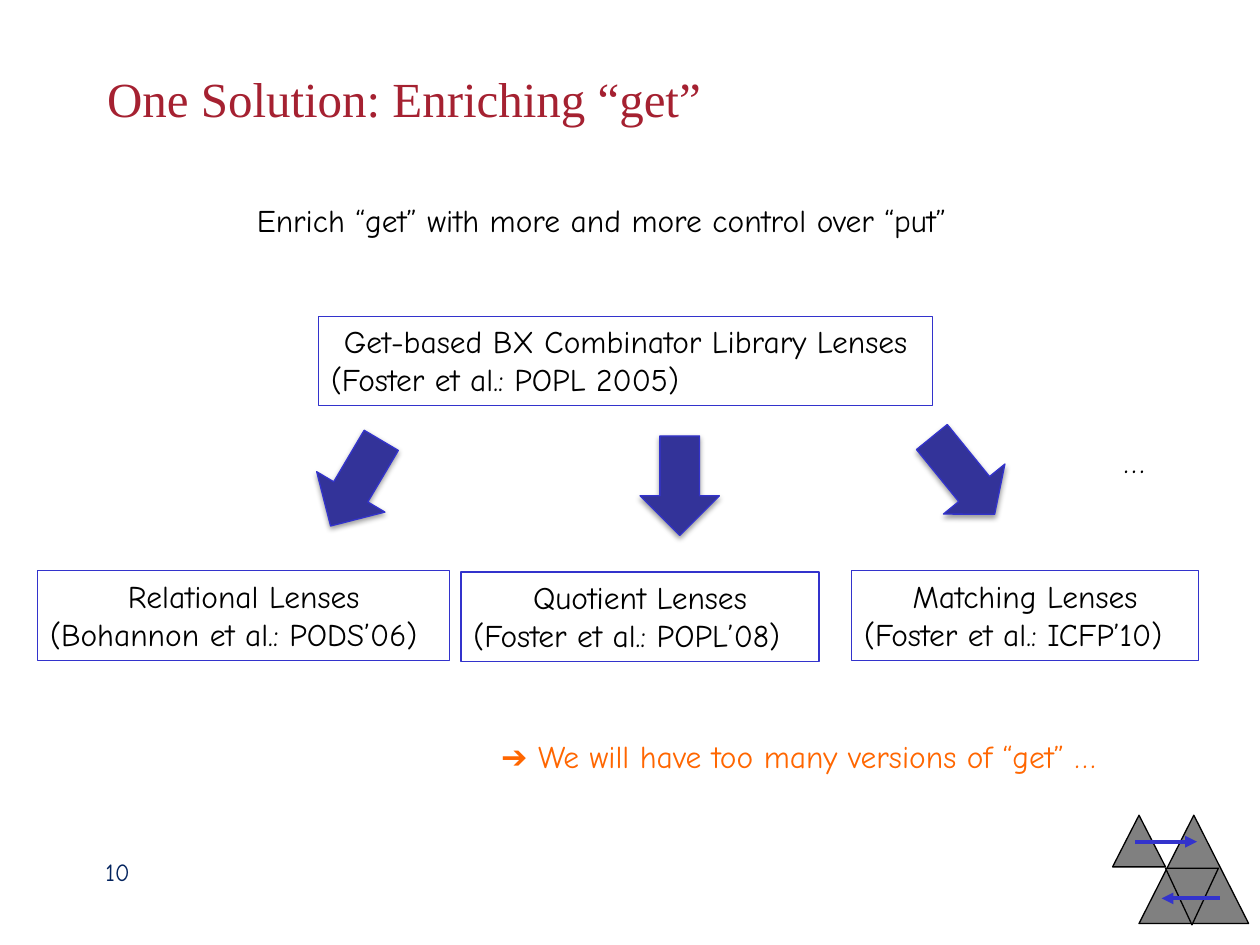
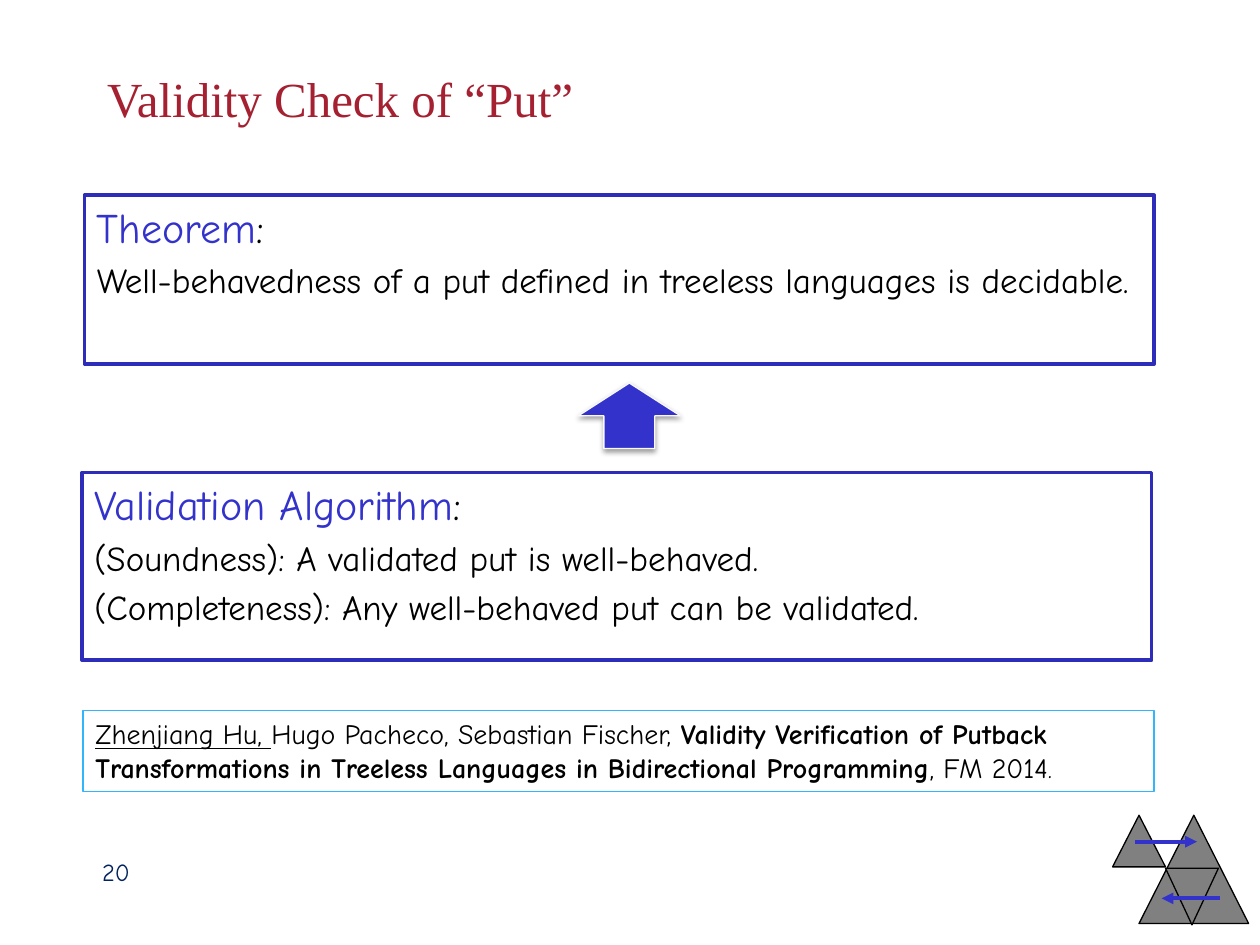
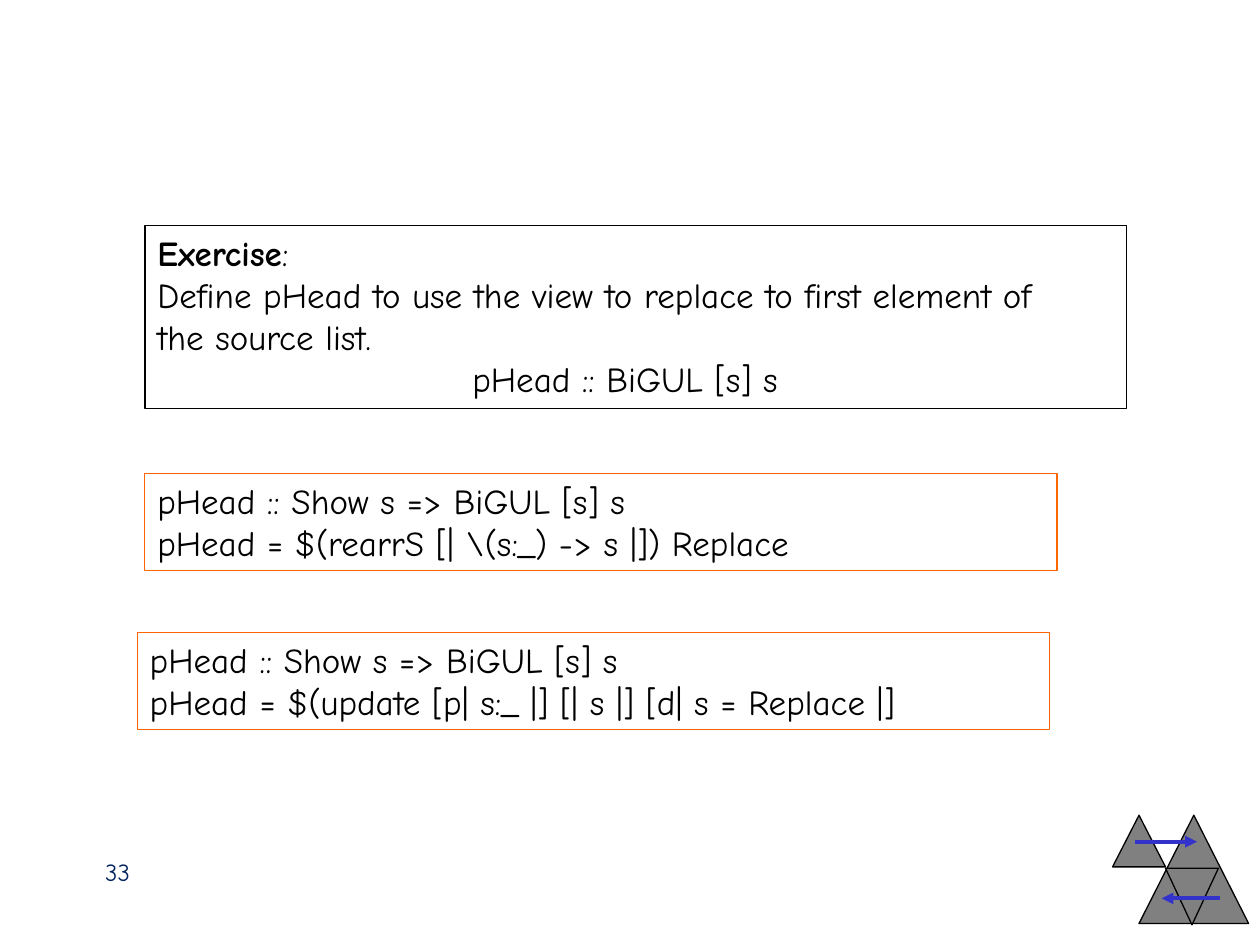
from lxml.etree import SubElement
from pptx import Presentation
from pptx.dml.color import RGBColor
from pptx.enum.shapes import MSO_CONNECTOR, MSO_SHAPE
from pptx.enum.text import MSO_ANCHOR, PP_ALIGN
from pptx.oxml.ns import qn
from pptx.util import Inches, Pt

COLORS = {name: RGBColor.from_string(value) for name, value in {
    "black": "000000", "white": "FFFFFF", "gray": "808080", "blue": "3333CC",
    "dark blue": "333399", "frame": "2D2DB9", "sky": "31B6FD", "pale": "F9F9F9",
    "orange": "FF6600", "title": "A52131", "number": "03235E"}.items()}
BODY_FONT, TITLE_FONT = "Comic Neue", "Times New Roman"
TITLE_ONLY, BLANK = 5, 6


def add_box(slide, place, paragraphs, size=18, color="black", line=None, line_width=0.75, gap=0):
    """Add a text box; a paragraph is a string or a list of (text, font attributes)."""
    box = slide.shapes.add_textbox(*map(Inches, place))
    if line:
        box.line.color.rgb = COLORS[line]
        box.line.width = Pt(line_width)
    frame = box.text_frame
    frame.word_wrap = True
    for index, runs in enumerate(paragraphs):
        paragraph = frame.paragraphs[0] if index == 0 else frame.add_paragraph()
        if index and gap:
            paragraph.space_before = Pt(gap)
        paragraph.font.name = BODY_FONT
        paragraph.font.size = Pt(size)
        paragraph.font.color.rgb = COLORS[color]
        for text, style in [(runs, {})] if isinstance(runs, str) else runs:
            run = paragraph.add_run()
            run.text = text
            for attribute, value in style.items():
                if attribute == "color":
                    run.font.color.rgb = COLORS[value]
                else:
                    setattr(run.font, attribute, value)
    return box


def add_shape(slide, kind, place, fill, line, rotation=0, shadow=False):
    shape = slide.shapes.add_shape(kind, *map(Inches, place))
    shape.fill.solid()
    shape.fill.fore_color.rgb = COLORS[fill]
    shape.line.color.rgb = COLORS[line]
    shape.line.width = Pt(0.75)
    shape.rotation = rotation
    shape.shadow.inherit = False
    if shadow:
        effects = shape._element.spPr.find(qn("a:effectLst"))
        outer = SubElement(effects, qn("a:outerShdw"), blurRad="40000", dist="20000",
                           dir="5400000", rotWithShape="0")
        black = SubElement(outer, qn("a:srgbClr"), val="000000")
        SubElement(black, qn("a:alpha"), val="38000")
    return shape


presentation = Presentation()
presentation.slide_width = Inches(10)
presentation.slide_height = Inches(7.5)

# Shared parts: title, slide number and the triangles in the corner
slides = []
for title, number in [("One Solution: Enriching “get”", "10"),
                      ("Validity Check of “Put”", "20"), (None, "33")]:
    layout = presentation.slide_layouts[TITLE_ONLY if title else BLANK]
    slide = presentation.slides.add_slide(layout)
    slides.append(slide)
    for place, rotation in [((8.83, 6.47, 0.42, 0.41), 0), ((9.04, 6.47, 0.87, 0.86), 0),
                            ((9.25, 6.89, 0.42, 0.45), 180)]:
        add_shape(slide, MSO_SHAPE.FLOWCHART_EXTRACT, place, "gray", "black", rotation)
    for start, end, y in [(9.01, 9.5, 6.68), (9.68, 9.22, 7.13)]:
        connector = slide.shapes.add_connector(
            MSO_CONNECTOR.STRAIGHT, Inches(start), Inches(y), Inches(end), Inches(y))
        connector.line.color.rgb = COLORS["blue"]
        connector.line.width = Pt(2.25)
        SubElement(connector.line._get_or_add_ln(), qn("a:tailEnd"), type="triangle")
        SubElement(connector._element.spPr, qn("a:effectLst"))
    number_box = add_box(slide, (0.5, 6.75, 0.63, 0.52), [number], 14, "number")
    number_box.text_frame.paragraphs[0].alignment = PP_ALIGN.RIGHT
    if title:
        heading = slide.shapes.title
        heading.left, heading.top, heading.width, heading.height = map(
            Inches, (0.75, 0.5, 6.79, 0.56))
        heading.text_frame.text = title
        heading.text_frame.vertical_anchor = MSO_ANCHOR.MIDDLE
        paragraph = heading.text_frame.paragraphs[0]
        paragraph.alignment = PP_ALIGN.LEFT
        paragraph.font.name = TITLE_FONT
        paragraph.font.size = Pt(28)
        paragraph.font.color.rgb = COLORS["title"]

enriching, validity, exercise = slides

# Enriching "get": one library, three kinds of lenses
add_box(enriching, (1.94, 1.55, 6.05, 0.4), ["Enrich “get” with more and more control over “put”"])
for place, name, source in [
        ((2.53, 2.51, 4.87, 0.71), "Get-based BX Combinator Library Lenses",
         "(Foster et al.: POPL 2005)"),
        ((0.3, 4.53, 3.27, 0.71), "Relational Lenses", "(Bohannon et al.: PODS’06)"),
        ((3.66, 4.54, 2.84, 0.71), "Quotient Lenses", "(Foster et al.: POPL’08)"),
        ((6.76, 4.53, 2.75, 0.71), "Matching Lenses", "(Foster et al.: ICFP’10)")]:
    lens_box = add_box(enriching, place, [name, source], line="blue")
    lens_box.text_frame.paragraphs[0].alignment = PP_ALIGN.CENTER
for left, top, rotation, head in [(2.51, 3.44, 30.6, 0.5), (5.08, 3.46, 0, 0.5),
                                  (7.33, 3.38, 320.9, 0.41)]:
    arrow = add_shape(enriching, MSO_SHAPE.DOWN_ARROW, (left, top, 0.63, 0.79),
                      "dark blue", "blue", rotation, shadow=True)
    arrow.adjustments[1] = head
add_box(enriching, (8.82, 3.46, 0.39, 0.4), ["…"])
add_box(enriching, (3.88, 5.8, 5.54, 0.4),
        ["➔ We will have too many versions of “get” …"], color="orange")

# Validity check: theorem, algorithm and reference
for place, name, statements in [
        ((0.67, 1.55, 8.49, 1.34), "Theorem",
         ["Well-behavedness of a put defined in treeless languages is decidable."]),
        ((0.65, 3.75, 8.49, 1.49), "Validation Algorithm",
         ["(Soundness): A validated put is well-behaved.",
          "(Completeness): Any well-behaved put can be validated."])]:
    label = [(name, {"size": Pt(24), "color": "blue"}), (":", {"size": Pt(24)})]
    add_box(validity, place, [label, *statements], 20, line="frame", line_width=2, gap=4)
add_shape(validity, MSO_SHAPE.UP_ARROW, (4.59, 3.04, 0.81, 0.52), "blue", "pale", shadow=True)
add_box(validity, (0.66, 5.64, 8.5, 0.64), [[
    ("Zhenjiang Hu, ", {"underline": True}),
    ("Hugo Pacheco, Sebastian Fischer, ", {}),
    ("Validity Verification of Putback Transformations in Treeless Languages "
     "in Bidirectional Programming", {"bold": True}),
    (", FM 2014", {}),
    (".", {"size": Pt(14)})]], 16, line="sky")

# Exercise and its two solutions
task = add_box(exercise, (1.15, 1.79, 7.79, 1.45), [
    [("Exercise", {"bold": True}), (":", {})],
    "Define pHead to use the view to replace to first element of",
    "the source list.",
    "pHead :: BiGUL [s] s"], 20, line="black")
signature = task.text_frame.paragraphs[-1]
signature._p.get_or_add_pPr().set("marL", str(Inches(2.5)))
for left, top, definition in [
        (1.15, 3.76, r"pHead = $(rearrS [| \(s:_) -> s |]) Replace"),
        (1.09, 5.02, "pHead = $(update [p| s:_ |] [| s |] [d| s = Replace |]")]:
    add_box(exercise, (left, top, 7.24, 0.77),
            ["pHead :: Show s => BiGUL [s] s", definition], 20, line="orange")

presentation.save("out.pptx")
